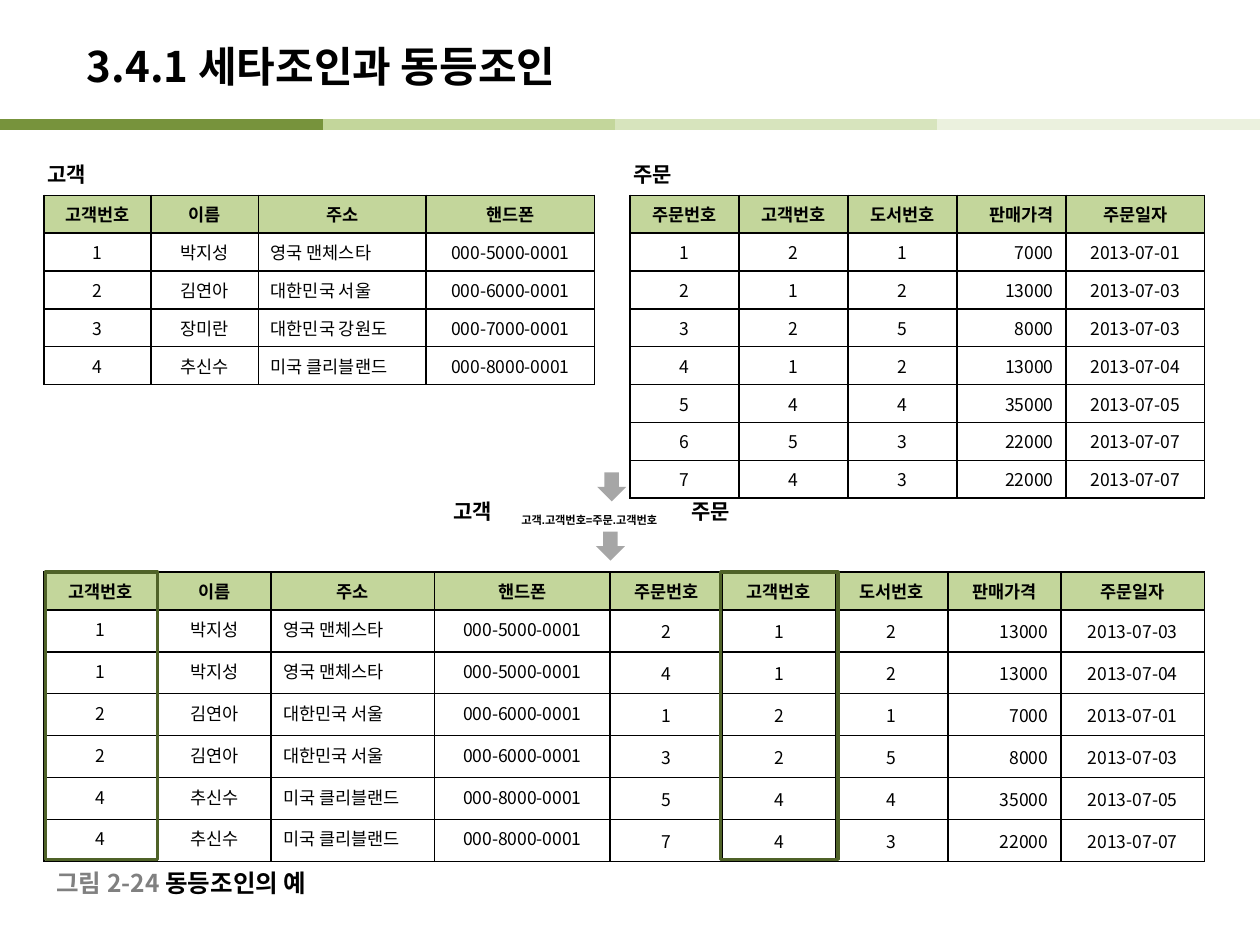
import pptx
import pptx.dml.color
import pptx.enum.shapes
import pptx.enum.text
import pptx.oxml
import pptx.oxml.ns
import pptx.util
from dataclasses import dataclass
from typing import Optional

ALIGN = pptx.enum.text.PP_ALIGN
ANCHOR = pptx.enum.text.MSO_ANCHOR
SHAPE = pptx.enum.shapes.MSO_SHAPE

COLORS = {
    "text": "000000", "figure": "808080", "cell": "FFFFFF", "header": "C3D69B",
    "arrow": "A6A6A6", "highlight": "4F6228",
    "bar1": "77933C", "bar2": "C3D69B", "bar3": "D7E4BD", "bar4": "EBF1DE",
}
SANS, HANGUL = "Arial", "Noto Sans CJK KR"

# The slide is a grid of 100 columns by 75 rows
COLUMNS, ROWS = 100, 75
CELL = pptx.util.Inches(0.1)


@dataclass
class Box:
    left: float
    top: float
    width: float
    height: float

    def emu(self) -> list:
        return [units(n) for n in (self.left, self.top, self.width, self.height)]


@dataclass
class Run:
    text: str
    size: float = 12
    font: str = SANS
    color: str = "text"
    bold: bool = True
    baseline: Optional[int] = None


@dataclass
class Relation:
    """A table: its place, column widths, row heights and content."""
    box: Box
    widths: list
    header_height: float
    row_height: float
    headers: list
    rows: list
    top_columns: int = 0          # leading columns whose body text sits at the top
    right_headers: tuple = ()


def units(n: float) -> int:
    return pptx.util.Emu(round(n * CELL))


def rgb(name: str) -> pptx.dml.color.RGBColor:
    return pptx.dml.color.RGBColor.from_string(COLORS[name])


def format_run(run, style: Run) -> None:
    font = run.font
    font.size, font.name, font.bold = pptx.util.Pt(style.size), style.font, style.bold
    font.color.rgb = rgb(style.color)
    properties = font._element
    if style.baseline is not None:
        properties.set("baseline", str(style.baseline))
    properties.find(pptx.oxml.ns.qn("a:latin")).addnext(
        pptx.oxml.parse_xml(f'<a:ea {pptx.oxml.ns.nsdecls("a")} typeface="{HANGUL}"/>'))


def add_label(slide, box: Box, runs: list, anchor=ANCHOR.TOP, tabs: tuple = ()) -> None:
    frame = slide.shapes.add_textbox(*box.emu()).text_frame
    frame.word_wrap = bool(tabs)
    frame.vertical_anchor = anchor
    paragraph = frame.paragraphs[0]
    if tabs:
        stops = "".join(f'<a:tab pos="{units(stop)}" algn="l"/>' for stop in tabs)
        paragraph._p.get_or_add_pPr().append(pptx.oxml.parse_xml(
            f'<a:tabLst {pptx.oxml.ns.nsdecls("a")}>{stops}</a:tabLst>'))
    for style in runs:
        run = paragraph.add_run()
        run.text = style.text
        format_run(run, style)


def fill_cell(cell, style: Run, fill: str, align, anchor) -> None:
    cell.text_frame.text = style.text
    paragraph = cell.text_frame.paragraphs[0]
    paragraph.alignment = align
    format_run(paragraph.runs[0], style)
    cell.vertical_anchor = anchor
    properties = cell._tc.get_or_add_tcPr()
    for side in "LRTB":
        properties.append(pptx.oxml.parse_xml(
            f'<a:ln{side} {pptx.oxml.ns.nsdecls("a")} w="12700"><a:solidFill>'
            f'<a:srgbClr val="{COLORS["text"]}"/></a:solidFill></a:ln{side}>'))
    cell.fill.solid()
    cell.fill.fore_color.rgb = rgb(fill)


def add_relation(slide, relation: Relation) -> None:
    table = slide.shapes.add_table(len(relation.rows) + 1, len(relation.headers),
                                   *relation.box.emu()).table
    for column, width in zip(table.columns, relation.widths):
        column.width = units(width)
    for r, row in enumerate([relation.headers] + relation.rows):
        is_header = r == 0
        table.rows[r].height = units(relation.header_height if is_header
                                     else relation.row_height)
        for c, text in enumerate(row):
            header = relation.headers[c]
            align, anchor = ALIGN.CENTER, ANCHOR.MIDDLE
            if is_header:
                font = HANGUL if c == 0 or header == "주문번호" else SANS
                if header in relation.right_headers:
                    align = ALIGN.RIGHT
            else:
                font = SANS if header in ("이름", "주소") else HANGUL
                align = {"주소": ALIGN.LEFT, "판매가격": ALIGN.RIGHT}.get(header, align)
                if c < relation.top_columns:
                    anchor = ANCHOR.TOP
            fill_cell(table.cell(r, c), Run(text, 10, font, bold=is_header),
                      "header" if is_header else "cell", align, anchor)


def add_bar(slide, left: float, right: float, color: str) -> None:
    bar = slide.shapes.add_connector(pptx.enum.shapes.MSO_CONNECTOR.STRAIGHT,
                                     units(left), units(9.9), units(right), units(9.9))
    bar.line.color.rgb = rgb(color)
    bar.line.width = pptx.util.Pt(6)
    bar._element.spPr.append(pptx.oxml.parse_xml(
        f'<a:effectLst {pptx.oxml.ns.nsdecls("a")}/>'))


def add_arrow(slide, box: Box) -> None:
    arrow = slide.shapes.add_shape(SHAPE.DOWN_ARROW, *box.emu())
    arrow.shadow.inherit = False
    arrow.fill.solid()
    arrow.fill.fore_color.rgb = rgb("arrow")
    arrow.line.fill.background()


def add_highlight(slide, box: Box) -> None:
    highlight = slide.shapes.add_shape(SHAPE.RECTANGLE, *box.emu())
    highlight.shadow.inherit = False
    highlight.fill.background()
    highlight.line.color.rgb = rgb("highlight")
    highlight.line.width = pptx.util.Pt(2)


CUSTOMER_HEADERS = ["고객번호", "이름", "주소", "핸드폰"]
CUSTOMERS = [
    ["1", "박지성", "영국 맨체스타", "000-5000-0001"],
    ["2", "김연아", "대한민국 서울", "000-6000-0001"],
    ["3", "장미란", "대한민국 강원도", "000-7000-0001"],
    ["4", "추신수", "미국 클리블랜드", "000-8000-0001"],
]
ORDER_HEADERS = ["주문번호", "고객번호", "도서번호", "판매가격", "주문일자"]
ORDERS = [
    ["1", "2", "1", "7000", "2013-07-01"],
    ["2", "1", "2", "13000", "2013-07-03"],
    ["3", "2", "5", "8000", "2013-07-03"],
    ["4", "1", "2", "13000", "2013-07-04"],
    ["5", "4", "4", "35000", "2013-07-05"],
    ["6", "5", "3", "22000", "2013-07-07"],
    ["7", "4", "3", "22000", "2013-07-07"],
]
JOINED = [customer + order for customer in CUSTOMERS for order in ORDERS
          if customer[0] == order[1]]

RELATIONS = [
    Relation(Box(3.5, 15.5, 43.7, 13.3), [8.5, 8.5, 13.3, 13.4], 2.4, 2.4,
             CUSTOMER_HEADERS, CUSTOMERS, top_columns=4),
    Relation(Box(50, 15.5, 45.7, 21.4), [8.65] * 4 + [11], 2.5, 2.7,
             ORDER_HEADERS, ORDERS, right_headers=("판매가격",)),
    Relation(Box(3.5, 45.4, 92.1, 22.7), [9, 9, 13, 13.9] + [8.95] * 4 + [11.4], 2.1, 3.33,
             CUSTOMER_HEADERS + ORDER_HEADERS, JOINED, top_columns=4),
]


def main() -> None:
    deck = pptx.Presentation()
    deck.slide_width, deck.slide_height = units(COLUMNS), units(ROWS)
    slide = deck.slides.add_slide(deck.slide_layouts[5])

    # Title and the colour bar under it
    title = slide.shapes.title
    title.left, title.top, title.width, title.height = Box(5.9, 2.2, 82.7, 6).emu()
    title.text_frame.text = "3.4.1 세타조인과 동등조인"
    title.text_frame.vertical_anchor = ANCHOR.MIDDLE
    heading = title.text_frame.paragraphs[0]
    heading.alignment = ALIGN.LEFT
    format_run(heading.runs[0], Run("", 24, HANGUL))
    for part, color in enumerate(("bar2", "bar3", "bar4")):
        add_bar(slide, 23.2 + 25.6 * part, 23.2 + 25.6 * (part + 1), color)
    add_bar(slide, 0, 25.6, "bar1")

    # The two relations and their join
    for relation in RELATIONS:
        add_relation(slide, relation)
    add_label(slide, Box(2.8, 12.3, 5.4, 3), [Run("고객")])
    add_label(slide, Box(49.3, 12.3, 5.4, 3), [Run("주문")])

    # Join condition between its arrows
    add_arrow(slide, Box(47.3, 42.2, 2.3, 2.3))
    add_arrow(slide, Box(47.4, 37.5, 2.3, 2.3))
    add_label(slide, Box(35, 39.1, 26.1, 3),
              [Run("고객\t"), Run("고객.고객번호=주문.고객번호", 11, baseline=-25000),
               Run("\t주문", baseline=0)], tabs=(5.4, 18.9))

    # Matching key columns and the caption
    add_highlight(slide, Box(3.6, 45.4, 8.9, 22.8))
    add_highlight(slide, Box(57.2, 45.4, 9.3, 22.8))
    add_label(slide, Box(3.5, 68.5, 25, 3.1),
              [Run("그림 2-24 ", 14, HANGUL, "figure"), Run("동등조인의 예", 14, HANGUL)],
              ANCHOR.MIDDLE)

    deck.save("out.pptx")


if __name__ == "__main__":
    main()
